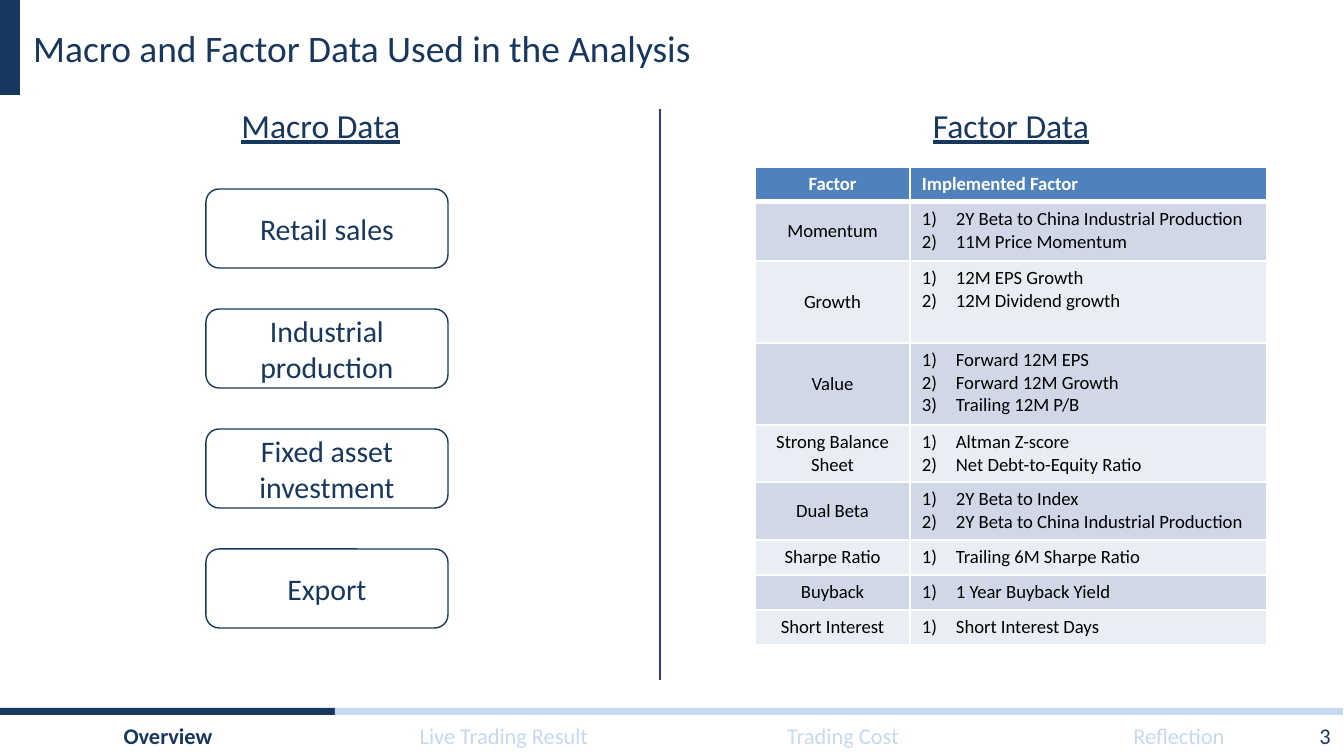
from lxml import etree
from pptx import Presentation
from pptx.dml.color import RGBColor
from pptx.enum.shapes import MSO_CONNECTOR, MSO_SHAPE
from pptx.enum.text import MSO_ANCHOR, PP_ALIGN
from pptx.oxml.ns import qn
from pptx.util import Pt

EMU_PER_PX = 914400 / 134.4
FONT = "Calibri"
COLORS = {
    "navy": "17375E", "pale": "C6D9F1", "divider": "333896", "header": "4F81BD",
    "band_dark": "D0D8E8", "band_light": "E9EDF4", "white": "FFFFFF", "black": "000000",
}
RECTANGLE, ROUNDED = MSO_SHAPE.RECTANGLE, MSO_SHAPE.ROUNDED_RECTANGLE
STRAIGHT = MSO_CONNECTOR.STRAIGHT
LEFT, CENTER, RIGHT = PP_ALIGN.LEFT, PP_ALIGN.CENTER, PP_ALIGN.RIGHT
TOP, MIDDLE = MSO_ANCHOR.TOP, MSO_ANCHOR.MIDDLE

SECTIONS = [("Overview", 0), ("Live Trading Result", 336),
            ("Trading Cost", 675), ("Reflection", 1011)]
MACRO_DATA = ["Retail sales", "Industrial production", "Fixed asset investment", "Export"]
# Factor, implemented factors, row height
FACTORS = [
    ("Momentum", ["2Y Beta to China Industrial Production", "11M Price Momentum"], 59),
    ("Growth", ["12M EPS Growth", "12M Dividend growth"], 82),
    ("Value", ["Forward 12M EPS", "Forward 12M Growth", "Trailing 12M P/B"], 82),
    ("Strong Balance Sheet", ["Altman Z-score", "Net Debt-to-Equity Ratio"], 57),
    ("Dual Beta", ["2Y Beta to Index", "2Y Beta to China Industrial Production"], 58),
    ("Sharpe Ratio", ["Trailing 6M Sharpe Ratio"], 35),
    ("Buyback", ["1 Year Buyback Yield"], 35),
    ("Short Interest", ["Short Interest Days"], 35),
]


def px(length):
    return round(length * EMU_PER_PX)


def rgb(color):
    return RGBColor.from_string(COLORS[color])


def format_text(text_frame, size, color, align=LEFT, bold=False, underline=False):
    for paragraph in text_frame.paragraphs:
        paragraph.alignment = align
        for run in paragraph.runs:
            font = run.font
            font.name, font.size = FONT, Pt(size)
            font.bold, font.underline = bold, underline
            font.color.rgb = rgb(color)


def add_text(slide, text, left, top, width, height, size, color,
             align=LEFT, anchor=MIDDLE, bold=False):
    text_frame = slide.shapes.add_textbox(px(left), px(top), px(width), px(height)).text_frame
    text_frame.word_wrap = True
    text_frame.vertical_anchor = anchor
    text_frame.text = text
    format_text(text_frame, size, color, align, bold)


def add_bar(slide, left, top, width, height, color):
    bar = slide.shapes.add_shape(RECTANGLE, px(left), px(top), px(width), px(height))
    bar.shadow.inherit = False
    bar.fill.solid()
    bar.fill.fore_color.rgb = rgb(color)
    bar.line.fill.background()


def add_rounded_box(slide, text, left, top, width, height, size, outlined=True):
    """Outlined boxes are data items; boxes without outline are underlined headings."""
    box = slide.shapes.add_shape(ROUNDED, px(left), px(top), px(width), px(height))
    box.shadow.inherit = False
    box.fill.background()
    if outlined:
        box.line.color.rgb = rgb("navy")
        box.line.width = Pt(0.75)
    else:
        box.line.fill.background()
    text_frame = box.text_frame
    text_frame.word_wrap = True
    text_frame.vertical_anchor = MIDDLE
    text_frame.text = text
    format_text(text_frame, size, "navy", CENTER, underline=not outlined)


def add_divider(slide, x, top, bottom):
    line = slide.shapes.add_connector(STRAIGHT, px(x), px(top), px(x), px(bottom))
    line.line.color.rgb = rgb("divider")
    line.line.width = Pt(1)
    etree.SubElement(line._element.spPr, qn("a:effectLst"))


def add_solid_color(parent, color):
    fill = etree.SubElement(parent, qn("a:solidFill"))
    etree.SubElement(fill, qn("a:srgbClr"), val=COLORS[color])


def set_borders(cell, top_width, bottom_width):
    properties = cell._tc.get_or_add_tcPr()
    widths = {"a:lnL": 1, "a:lnR": 1, "a:lnT": top_width, "a:lnB": bottom_width}
    for position, (tag, width) in enumerate(widths.items()):
        border = etree.Element(qn(tag), w=str(Pt(width)))
        add_solid_color(border, "white")
        properties.insert(position, border)


def number_paragraph(paragraph):
    properties = paragraph._p.get_or_add_pPr()
    properties.set("marL", str(px(34)))
    properties.set("indent", str(-px(34)))
    bullet_color = etree.SubElement(properties, qn("a:buClr"))
    etree.SubElement(bullet_color, qn("a:srgbClr"), val=COLORS["black"])
    etree.SubElement(properties, qn("a:buFont"), typeface="+mj-lt")
    etree.SubElement(properties, qn("a:buAutoNum"), type="arabicParenR")


def fill_cell(cell, text, fill, color, align, anchor, bold=False):
    cell.fill.solid()
    cell.fill.fore_color.rgb = rgb(fill)
    cell.margin_left = cell.margin_right = px(12)
    cell.margin_top = cell.margin_bottom = px(6)
    cell.vertical_anchor = anchor
    cell.text_frame.text = text
    format_text(cell.text_frame, 10, color, align, bold)


def add_factor_table(slide):
    columns, heights = [155, 357], [35] + [height for _, _, height in FACTORS]
    table = slide.shapes.add_table(len(heights), len(columns), px(755), px(167),
                                   px(sum(columns)), px(sum(heights))).table
    for column, width in zip(table.columns, columns):
        column.width = px(width)
    for row, height in zip(table.rows, heights):
        row.height = px(height)

    # Header row
    for column, (text, align) in enumerate([("Factor", CENTER), ("Implemented Factor", LEFT)]):
        cell = table.cell(0, column)
        fill_cell(cell, text, "header", "white", align, TOP, bold=True)
        set_borders(cell, 1, 3)

    # Banded body rows
    for row, (factor, items, _) in enumerate(FACTORS, start=1):
        band = "band_dark" if row % 2 else "band_light"
        name_cell, items_cell = table.cell(row, 0), table.cell(row, 1)
        fill_cell(name_cell, factor, band, "black", CENTER, MIDDLE)
        fill_cell(items_cell, "\n".join(items), band, "black", LEFT, TOP)
        for paragraph in items_cell.text_frame.paragraphs:
            number_paragraph(paragraph)
        for cell in (name_cell, items_cell):
            set_borders(cell, 3 if row == 1 else 1, 1)


def add_navigation(slide):
    for index, (section, left) in enumerate(SECTIONS):
        color = "pale" if index else "navy"
        add_bar(slide, -1 + 336 * index, 708, 336, 7, color)
        add_text(slide, section, left, 716, 336, 40, 12, color, CENTER, TOP, bold=index == 0)
    add_text(slide, "3", 1031, 716, 313, 40, 12, "navy", RIGHT)


def main():
    presentation = Presentation()
    presentation.slide_width, presentation.slide_height = px(1344), px(756)
    slide = presentation.slides.add_slide(presentation.slide_layouts[6])

    # Title and footer
    add_bar(slide, -1, 0, 21, 95, "navy")
    add_text(slide, "Macro and Factor Data Used in the Analysis", 20, 0, 1218, 95, 20, "navy")
    add_navigation(slide)

    # Macro data on the left
    add_rounded_box(slide, "Macro Data", 194, 105, 254, 40, 18, outlined=False)
    for index, name in enumerate(MACRO_DATA):
        add_rounded_box(slide, name, 206, 189 + 120 * index, 242, 79, 16)

    # Factor data on the right
    add_divider(slide, 660, 109, 680)
    add_rounded_box(slide, "Factor Data", 884, 105, 254, 40, 18, outlined=False)
    add_factor_table(slide)

    presentation.save("out.pptx")


if __name__ == "__main__":
    main()
